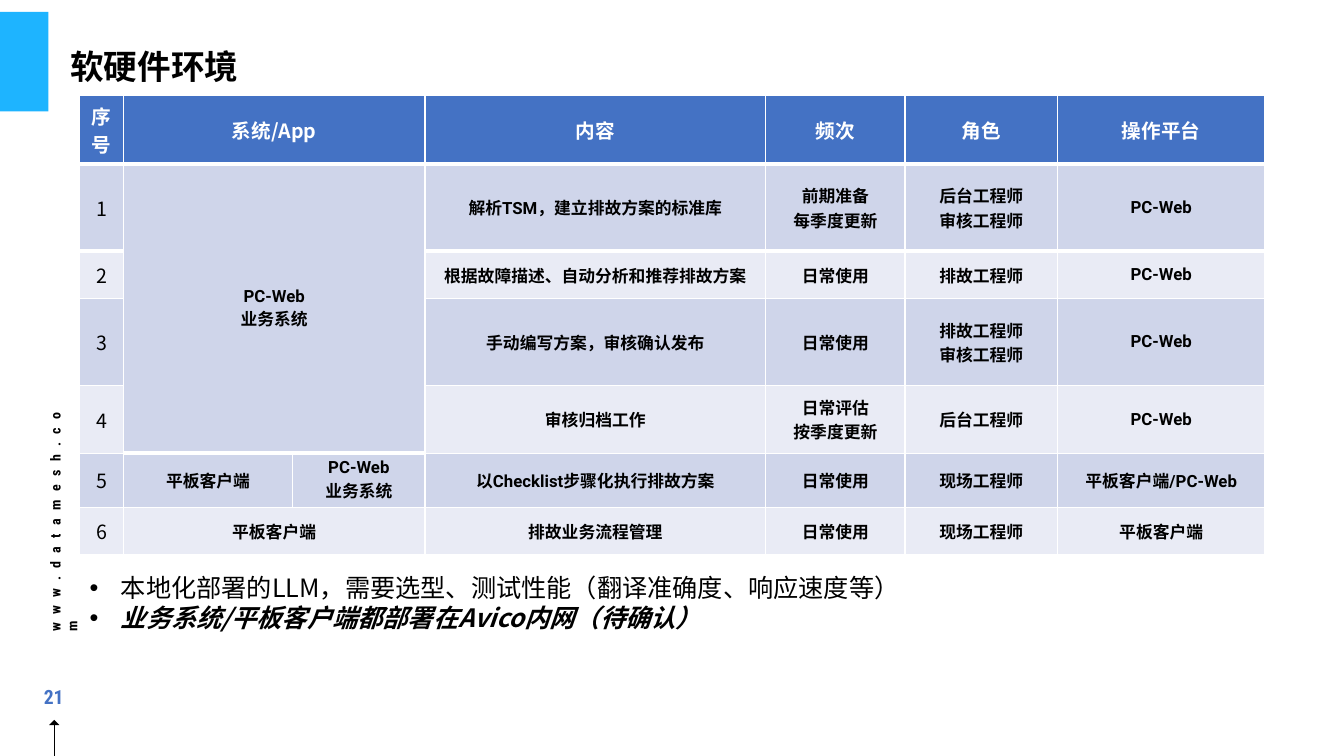
from dataclasses import dataclass

from lxml import etree
from pptx import Presentation
from pptx import util as u
from pptx.dml.color import RGBColor
from pptx.enum import shapes, text
from pptx.oxml.ns import qn


@dataclass(frozen=True)
class Theme:
    """Colours, fonts and type sizes of the slide."""
    sky: str = "1EB4FF"
    blue: str = "4472C4"
    bands: tuple = ("E9EBF5", "CFD5EA")
    black: str = "000000"
    white: str = "FFFFFF"
    sans: str = "Noto Sans CJK SC"
    body: str = "Roboto"
    slim: str = "Roboto Condensed"
    big: int = 24
    list: int = 18
    head: int = 14
    cell: int = 12
    small: int = 10


T = Theme()
MID = {"vertical_anchor": text.MSO_ANCHOR.MIDDLE}
COLS = (1.1, 4.27, 3.33, 8.59, 3.51, 3.84, 5.23)
ROWS = (1.72, 2.2, 1.19, 2.2, 1.7, 1.37, 1.19)
CELLS = (
    ("序号", "系统/App", None, "内容", "频次", "角色", "操作平台"),
    ("1", "PC-Web\n业务系统", None, "解析TSM，建立排故方案的标准库",
     "前期准备\n每季度更新", "后台工程师\n审核工程师", "PC-Web"),
    ("2", None, None, "根据故障描述、自动分析和推荐排故方案",
     "日常使用", "排故工程师", "PC-Web"),
    ("3", None, None, "手动编写方案，审核确认发布",
     "日常使用", "排故工程师\n审核工程师", "PC-Web"),
    ("4", None, None, "审核归档工作",
     "日常评估\n按季度更新", "后台工程师", "PC-Web"),
    ("5", "平板客户端", "PC-Web\n业务系统", "以Checklist步骤化执行排故方案",
     "日常使用", "现场工程师", "平板客户端/PC-Web"),
    ("6", "平板客户端", None, "排故业务流程管理",
     "日常使用", "现场工程师", "平板客户端"),
)
SPANS = (((0, 1), (0, 2)), ((1, 1), (4, 2)), ((6, 1), (6, 2)))
NOTES = (
    ("本地化部署的LLM，需要选型、测试性能（翻译准确度、响应速度等）", {}),
    ("业务系统/平板客户端都部署在Avico内网（待确认）",
     {"bold": True, "italic": True}),
)


def put(item, form):
    """Set attributes of an item from a dict of values."""
    for key, val in form.items():
        setattr(item, key, val)


def cm(box):
    """Turn a box in centimetres into lengths."""
    return [u.Cm(val) for val in box]


def ink(run, size, name, tint, **more):
    """Format a run, using the same sans for its East Asian text."""
    put(run.font, {"size": u.Pt(size), "name": name, **more})
    run.font.color.rgb = RGBColor.from_string(tint)
    etree.SubElement(run.font._element, qn("a:ea"), typeface=T.sans)


def paint(slide, kind, box, tint):
    """Draw a filled preset shape without line or shadow."""
    item = slide.shapes.add_shape(kind, *cm(box))
    item.shadow.inherit = False
    item.fill.solid()
    item.fill.fore_color.rgb = RGBColor.from_string(tint)
    item.line.fill.background()


def label(slide, box, words, size, tint, **form):
    """Add a bold text box in the slim font and return it."""
    item = slide.shapes.add_textbox(*cm(box))
    put(item.text_frame, form)
    run = item.text_frame.paragraphs[0].add_run()
    run.text = words
    ink(run, size, T.slim, tint, bold=True)
    return item


def rail(slide, box):
    """Draw the left rail: tab, web address, page number and arrow."""
    left, top, wide, high = box
    end = top + high
    mid = left + 1.37
    paint(slide, shapes.MSO_SHAPE.RECTANGLE, (left, top + 0.3, wide, 2.51), T.sky)
    site = label(slide, (left - 1.83, top + 12.6, 6.45, 0.69), "www.datamesh.com",
                 T.small, T.black, word_wrap=True)
    site.rotation = 270
    site.text_frame.paragraphs[0].runs[0].font._element.set("spc", "600")
    page = label(slide, (left + 0.48, top + 16.87, 1.75, 1.37), "21", T.head, T.blue,
                 word_wrap=False, margin_left=u.Cm(0.33), margin_right=u.Cm(0.33),
                 margin_top=u.Cm(0.18), margin_bottom=u.Cm(0.18), **MID)
    page.text_frame.paragraphs[0].alignment = text.PP_ALIGN.CENTER
    stem = slide.shapes.add_connector(
        shapes.MSO_CONNECTOR.STRAIGHT, *cm((mid, end - 0.89, mid, end)))
    stem.line.width = u.Pt(1)
    stem.line.color.rgb = RGBColor.from_string(T.black)
    etree.SubElement(stem._element.spPr, qn("a:effectLst"))
    paint(slide, shapes.MSO_SHAPE.ISOSCELES_TRIANGLE,
          (mid - 0.13, end - 0.91, 0.26, 0.13), T.black)


def title(slide, box):
    """Place and format the title."""
    item = slide.shapes.title
    put(item, dict(zip(("left", "top", "width", "height"), cm(box))))
    frame = item.text_frame
    frame.text = "软硬件环境"
    put(frame, {"word_wrap": True, "auto_size": text.MSO_AUTO_SIZE.NONE, **MID})
    para = frame.paragraphs[0]
    put(para, {"alignment": text.PP_ALIGN.LEFT, "line_spacing": 0.9})
    ink(para.runs[0], T.big, T.sans, T.black, bold=True)


def edge(cell, side, width):
    """Draw a white border on one side of a cell, before it is filled."""
    line = etree.SubElement(cell._tc.get_or_add_tcPr(), qn(f"a:{side}"),
                            w=str(u.Pt(width)))
    fill = etree.SubElement(line, qn("a:solidFill"))
    etree.SubElement(fill, qn("a:srgbClr"), val=T.white)


def grid(slide, box):
    """Draw the table of systems, tasks and roles."""
    table = slide.shapes.add_table(len(ROWS), len(COLS), *cm(box)).table
    for col, wide in zip(table.columns, COLS):
        col.width = u.Cm(wide)
    for row, high in zip(table.rows, ROWS):
        row.height = u.Cm(high)
    for start, end in SPANS:
        table.cell(*start).merge(table.cell(*end))
    for i, row in enumerate(CELLS):
        for j, words in enumerate(row):
            cell = table.cell(i, j)
            if i < 2:
                edge(cell, ("lnB", "lnT")[i], 3)
            cell.fill.solid()
            tint = T.bands[i % 2] if i else T.blue
            cell.fill.fore_color.rgb = RGBColor.from_string(tint)
            if words is None:
                continue
            put(cell, MID)
            cell.text_frame.text = words
            form = (T.cell, T.body) if i and j else (T.head, T.sans)
            for para in cell.text_frame.paragraphs:
                para.alignment = text.PP_ALIGN.CENTER
                ink(para.runs[0], *form, T.black if i else T.white,
                    bold=i == 0 or j > 0)


def notes(slide, box):
    """Write the bulleted remarks below the table."""
    frame = slide.shapes.add_textbox(*cm(box)).text_frame
    frame.word_wrap = True
    frame.text = "\n".join(words for words, _ in NOTES)
    dent = u.Cm(0.79)
    for para, (_, more) in zip(frame.paragraphs, NOTES):
        prop = para._p.get_or_add_pPr()
        prop.set("marL", str(dent))
        prop.set("indent", str(-dent))
        etree.SubElement(prop, qn("a:buFont"), typeface="Arial")
        etree.SubElement(prop, qn("a:buChar"), char="•")
        ink(para.runs[0], T.list, T.sans, T.black, **more)


def main():
    """Build the slide and save it."""
    deck = Presentation()
    put(deck, {"slide_width": u.Cm(33.87), "slide_height": u.Cm(19.05)})
    slide = deck.slides.add_slide(deck.slide_layouts[5])
    rail(slide, (0, 0, 1.22, 19.05))
    title(slide, (1.52, 0.38, 29.21, 2.72))
    grid(slide, (2.01, 2.41, sum(COLS), sum(ROWS)))
    notes(slide, (2.01, 14.3, 29.87, 1.8))
    deck.save("out.pptx")


if __name__ == "__main__":
    main()
